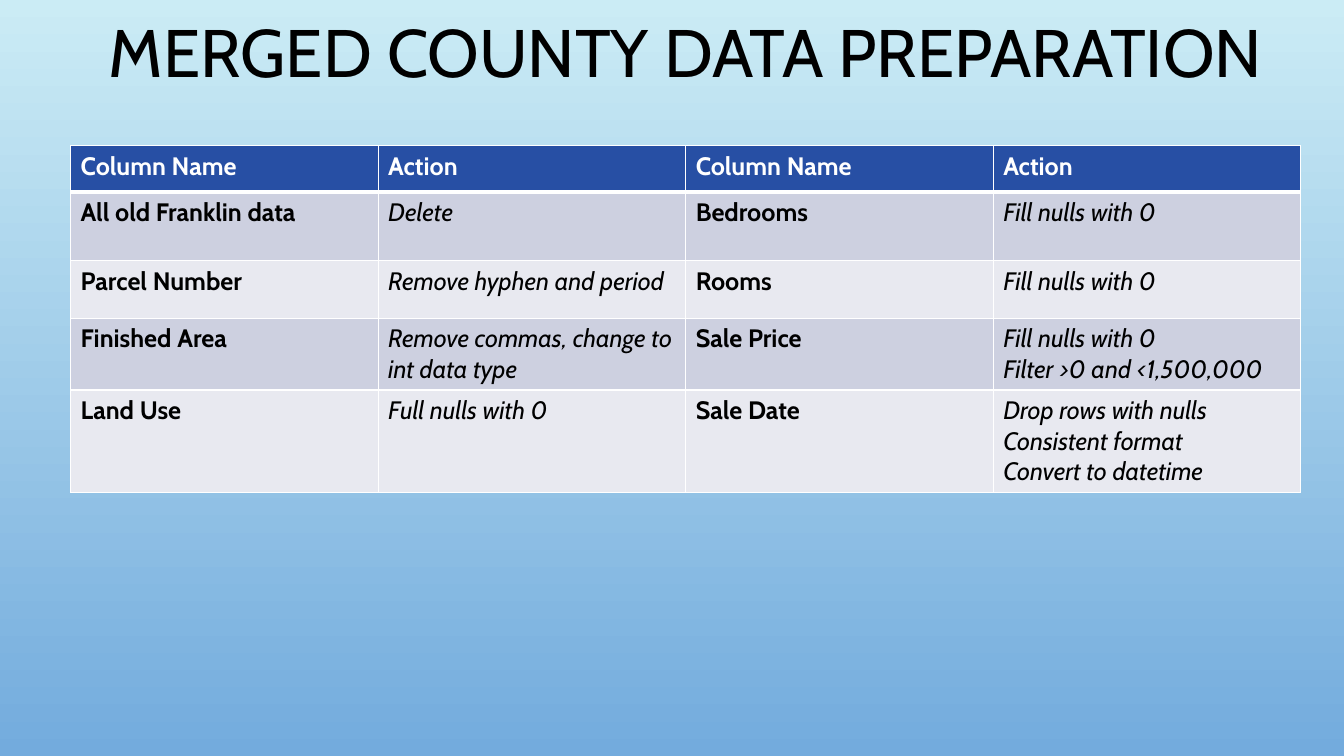
from dataclasses import dataclass

from lxml.etree import SubElement
from pptx import Presentation
from pptx.dml.color import RGBColor
from pptx.enum.text import MSO_ANCHOR, MSO_AUTO_SIZE, PP_ALIGN
from pptx.oxml.ns import qn
from pptx.slide import Slide
from pptx.table import _Cell
from pptx.text.text import _Paragraph
from pptx.util import Cm, Pt

COLORS = {
    "sky": "CBECF5",
    "horizon": "73ABDD",
    "header": "274FA4",
    "odd_row": "CDD0E0",
    "even_row": "E8E9F0",
    "white": "FFFFFF",
    "black": "000000",
}
FONT = "Cabin"
COLUMN_WIDTH = 7.75


@dataclass(frozen=True)
class TextStyle:
    size: float
    color: str
    bold: bool = False
    italic: bool = False


@dataclass(frozen=True)
class TableRow:
    height: float
    texts: tuple[str, str, str, str]


TITLE_STYLE = TextStyle(48, "black")
HEADER_STYLE = TextStyle(18, "white", bold=True)
NAME_STYLE = TextStyle(18, "black", bold=True)
ACTION_STYLE = TextStyle(18, "black", italic=True)

ROWS = [
    TableRow(1.17, ("Column Name", "Action", "Column Name", "Action")),
    TableRow(1.73, ("All old Franklin data", "Delete", "Bedrooms", "Fill nulls with 0")),
    TableRow(1.45, ("Parcel Number", "Remove hyphen and period", "Rooms", "Fill nulls with 0")),
    TableRow(1.8, ("Finished Area", "Remove commas, change to int data type",
                   "Sale Price", "Fill nulls with 0\nFilter >0 and <1,500,000")),
    TableRow(2.55, ("Land Use", "Full nulls with 0", "Sale Date",
                    "Drop rows with nulls\nConsistent format\nConvert to datetime")),
]


def rgb(name: str) -> RGBColor:
    return RGBColor.from_string(COLORS[name])


def add_run(paragraph: _Paragraph, text: str, style: TextStyle) -> None:
    run = paragraph.add_run()
    run.text = text
    run.font.name = FONT
    run.font.size = Pt(style.size)
    run.font.bold = style.bold
    run.font.italic = style.italic
    run.font.color.rgb = rgb(style.color)


def set_borders(cell: _Cell, top: float, bottom: float) -> None:
    properties = cell._tc.get_or_add_tcPr()
    for side, width in (("L", 1), ("R", 1), ("T", top), ("B", bottom)):
        line = SubElement(properties, qn(f"a:ln{side}"), w=str(Pt(width)))
        fill = SubElement(line, qn("a:solidFill"))
        SubElement(fill, qn("a:srgbClr"), val=COLORS["white"])


def fill_cell(cell: _Cell, text: str, style: TextStyle, color: str) -> None:
    cell.fill.solid()
    cell.fill.fore_color.rgb = rgb(color)
    frame = cell.text_frame
    for index, line in enumerate(text.split("\n")):
        paragraph = frame.add_paragraph() if index else frame.paragraphs[0]
        add_run(paragraph, line, style)


def paint_background(slide: Slide) -> None:
    fill = slide.background.fill
    fill.gradient()
    fill.gradient_angle = 270
    for stop, color in zip(fill.gradient_stops, ("sky", "horizon")):
        stop.color.rgb = rgb(color)


def format_title(slide: Slide) -> None:
    title = slide.shapes.title
    title.left, title.top = Cm(2.11), Cm(-0.05)
    title.width, title.height = Cm(30.33), Cm(2.49)
    frame = title.text_frame
    frame.auto_size = MSO_AUTO_SIZE.NONE
    frame.word_wrap = True
    frame.vertical_anchor = MSO_ANCHOR.BOTTOM
    paragraph = frame.paragraphs[0]
    paragraph.alignment = PP_ALIGN.CENTER
    paragraph.line_spacing = 0.9
    add_run(paragraph, "MERGED COUNTY DATA PREPARATION", TITLE_STYLE)


def add_preparation_table(slide: Slide) -> None:
    column_count = len(ROWS[0].texts)
    table = slide.shapes.add_table(
        len(ROWS), column_count, Cm(1.78), Cm(3.67),
        Cm(COLUMN_WIDTH * column_count), Cm(sum(row.height for row in ROWS)),
    ).table
    for row_index, row in enumerate(ROWS):
        table.rows[row_index].height = Cm(row.height)
        color = "header" if row_index == 0 else ("even_row", "odd_row")[row_index % 2]
        for column_index, text in enumerate(row.texts):
            body_style = ACTION_STYLE if column_index % 2 else NAME_STYLE
            style = body_style if row_index else HEADER_STYLE
            cell = table.cell(row_index, column_index)
            set_borders(cell, top=3 if row_index == 1 else 1, bottom=1 if row_index else 3)
            fill_cell(cell, text, style, color)


def main() -> None:
    presentation = Presentation()
    presentation.slide_width, presentation.slide_height = Cm(33.87), Cm(19.05)
    slide = presentation.slides.add_slide(presentation.slide_layouts.get_by_name("Title Only"))
    paint_background(slide)
    format_title(slide)
    add_preparation_table(slide)
    presentation.save("out.pptx")


if __name__ == "__main__":
    main()
